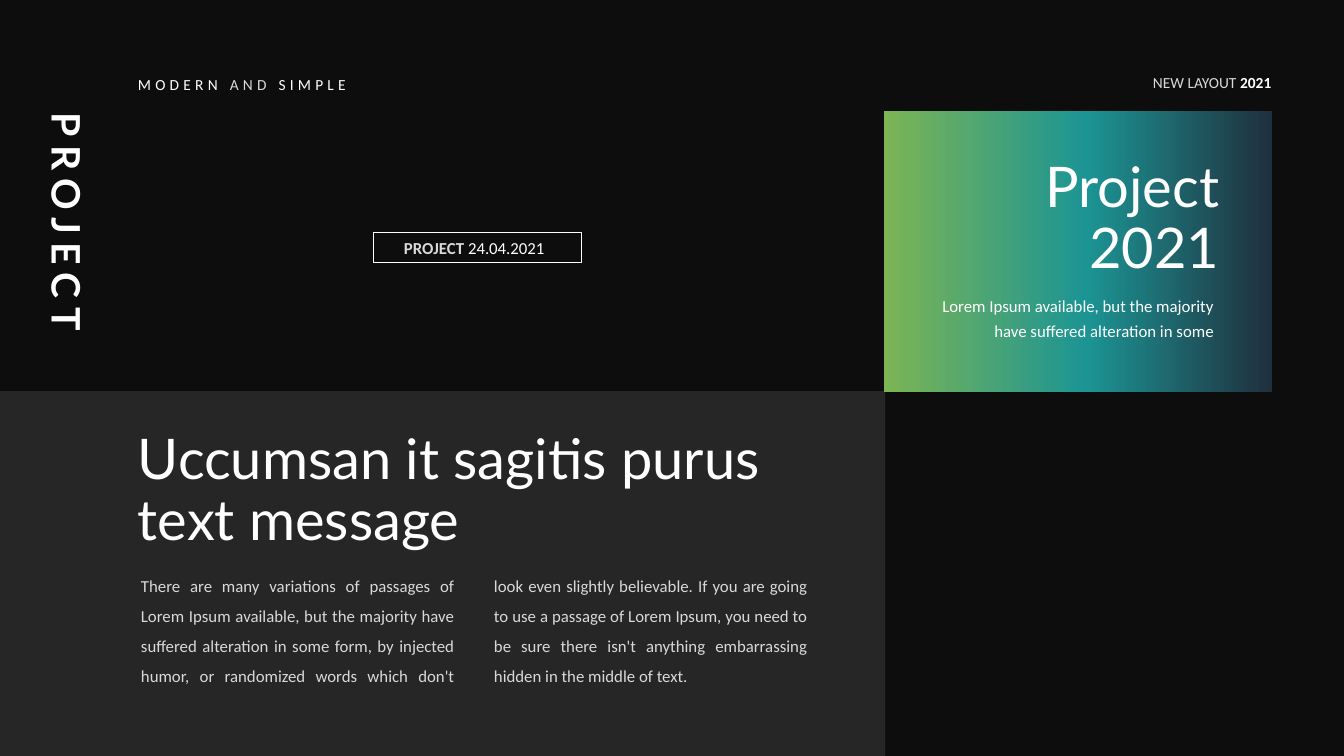
import copy
from dataclasses import dataclass

import pptx
import pptx.dml.color
import pptx.enum.shapes
import pptx.enum.text
import pptx.oxml.ns
import pptx.util

RGBColor = pptx.dml.color.RGBColor
Inches = pptx.util.Inches
Align = pptx.enum.text.PP_ALIGN

# Colours
BLACK = RGBColor(0x0D, 0x0D, 0x0D)
CHARCOAL = RGBColor(0x26, 0x26, 0x26)
WHITE = RGBColor(0xFF, 0xFF, 0xFF)
SILVER = RGBColor(0xD9, 0xD9, 0xD9)
NAVY = RGBColor(0x20, 0x2F, 0x3D)
TEAL = RGBColor(0x1C, 0x94, 0x94)
GREEN = RGBColor(0x7C, 0xB5, 0x54)

EVEN_INSETS = (0.1, 0.05, 0.1, 0.05)
BODY_INSETS = (0.1, 0.05, 0.16, 0.04)


@dataclass
class Run:
    text: str
    color: RGBColor = WHITE
    bold: bool = False


@dataclass
class TextBlock:
    box: tuple[float, float, float, float]
    paragraphs: list[list[Run]]
    size: float
    font: str = "Calibri"
    align: Align = Align.LEFT
    line_spacing: float = 1.0
    tracking: float = 0
    insets: tuple[float, float, float, float] = EVEN_INSETS
    rotation: float = 0
    columns: int = 1
    column_gap: float = 0


TEXT_BLOCKS = [
    # Vertical title
    TextBlock((-0.77, 2.17, 2.87, 0.57), [[Run("PROJECT", bold=True)]], 28, "Lato",
              tracking=6, rotation=90),
    # Card
    TextBlock((9.24, 1.53, 2.95, 1.31), [[Run("Project")], [Run("2021")]], 40, "Lato",
              Align.RIGHT, 0.9),
    TextBlock((9.05, 2.85, 3.15, 0.56),
              [[Run("Lorem Ipsum available, but the majority have suffered alteration in some")]],
              12, align=Align.RIGHT, line_spacing=1.2, insets=BODY_INSETS),
    # Message
    TextBlock((1.3, 5.56, 6.87, 1.3),
              [[Run("There are many variations of passages of Lorem Ipsum available, but the "
                    "majority have suffered alteration in some form, by injected humor, or "
                    "randomized words which don't look even slightly believable. If you are "
                    "going to use a passage of Lorem Ipsum, you need to be sure there isn't "
                    "anything embarrassing hidden in the middle of text.", SILVER)]],
              12, align=Align.JUSTIFY, line_spacing=1.5, insets=BODY_INSETS,
              columns=2, column_gap=0.39),
    TextBlock((1.27, 4.23, 7.24, 1.31), [[Run("Uccumsan it sagitis purus text message")]],
              40, "Lato", line_spacing=0.9),
    # Header line
    TextBlock((1.27, 0.7, 2.7, 0.29),
              [[Run("MODERN "), Run("AND", SILVER), Run(" SIMPLE")]], 11, tracking=3),
    TextBlock((11.02, 0.68, 1.75, 0.28),
              [[Run("NEW LAYOUT ", SILVER), Run("2021", bold=True)]], 11,
              align=Align.RIGHT, insets=BODY_INSETS),
]

DATE_BADGE = TextBlock((3.7, 2.31, 2.07, 0.29),
                       [[Run("PROJECT ", SILVER, True), Run("24.04.2021")]], 12,
                       align=Align.CENTER, insets=BODY_INSETS)


def add_rectangle(slide: pptx.slide.Slide, box: tuple[float, float, float, float]
                  ) -> pptx.shapes.autoshape.Shape:
    rectangle = slide.shapes.add_shape(pptx.enum.shapes.MSO_SHAPE.RECTANGLE,
                                       *map(Inches, box))
    rectangle.shadow.inherit = False
    rectangle.line.fill.background()
    return rectangle


def fill_gradient(shape: pptx.shapes.autoshape.Shape,
                  stops: list[tuple[float, RGBColor]], angle: float) -> None:
    shape.fill.gradient()
    shape.fill.gradient_angle = angle
    stop_list = shape.element.spPr.find(".//" + pptx.oxml.ns.qn("a:gsLst"))
    while len(stop_list) < len(stops):
        stop_list.append(copy.deepcopy(stop_list[0]))
    for stop, (position, color) in zip(shape.fill.gradient_stops, stops):
        stop.position = position
        stop.color.rgb = color


def write_text(shape: pptx.shapes.autoshape.Shape, block: TextBlock) -> None:
    frame = shape.text_frame
    frame.word_wrap = True
    frame.auto_size = pptx.enum.text.MSO_AUTO_SIZE.SHAPE_TO_FIT_TEXT
    frame.vertical_anchor = pptx.enum.text.MSO_ANCHOR.TOP
    (frame.margin_left, frame.margin_top,
     frame.margin_right, frame.margin_bottom) = map(Inches, block.insets)
    if block.columns > 1:
        body = shape.element.txBody.find(pptx.oxml.ns.qn("a:bodyPr"))
        body.set("numCol", str(block.columns))
        body.set("spcCol", str(Inches(block.column_gap)))
    for index, runs in enumerate(block.paragraphs):
        paragraph = frame.add_paragraph() if index else frame.paragraphs[0]
        paragraph.alignment = block.align
        paragraph.line_spacing = block.line_spacing
        for part in runs:
            run = paragraph.add_run()
            run.text = part.text
            run.font.name = block.font
            run.font.size = pptx.util.Pt(block.size)
            run.font.bold = part.bold
            run.font.color.rgb = part.color
            if block.tracking:
                run.font.element.set("spc", str(round(block.tracking * 100))) if hasattr(
                    run.font, "element") else run._r.get_or_add_rPr().set(
                    "spc", str(round(block.tracking * 100)))


def add_text(slide: pptx.slide.Slide, block: TextBlock) -> None:
    textbox = slide.shapes.add_textbox(*map(Inches, block.box))
    textbox.rotation = block.rotation
    write_text(textbox, block)


def main() -> None:
    presentation = pptx.Presentation()
    presentation.slide_width = Inches(13.33)
    presentation.slide_height = Inches(7.5)
    slide = presentation.slides.add_slide(presentation.slide_layouts[6])
    slide.background.fill.solid()
    slide.background.fill.fore_color.rgb = BLACK

    # Panels
    message_panel = add_rectangle(slide, (-0.02, 3.88, 8.8, 3.62))
    message_panel.fill.solid()
    message_panel.fill.fore_color.rgb = CHARCOAL
    project_card = add_rectangle(slide, (8.77, 1.1, 3.85, 2.79))
    fill_gradient(project_card, [(0, NAVY), (0.48, TEAL), (1, GREEN)], 180)

    # Texts
    for block in TEXT_BLOCKS:
        add_text(slide, block)

    # Outlined date
    date_badge = add_rectangle(slide, DATE_BADGE.box)
    date_badge.fill.background()
    date_badge.line.color.rgb = WHITE
    date_badge.line.width = pptx.util.Pt(0.75)
    write_text(date_badge, DATE_BADGE)

    presentation.save("out.pptx")


if __name__ == "__main__":
    main()
